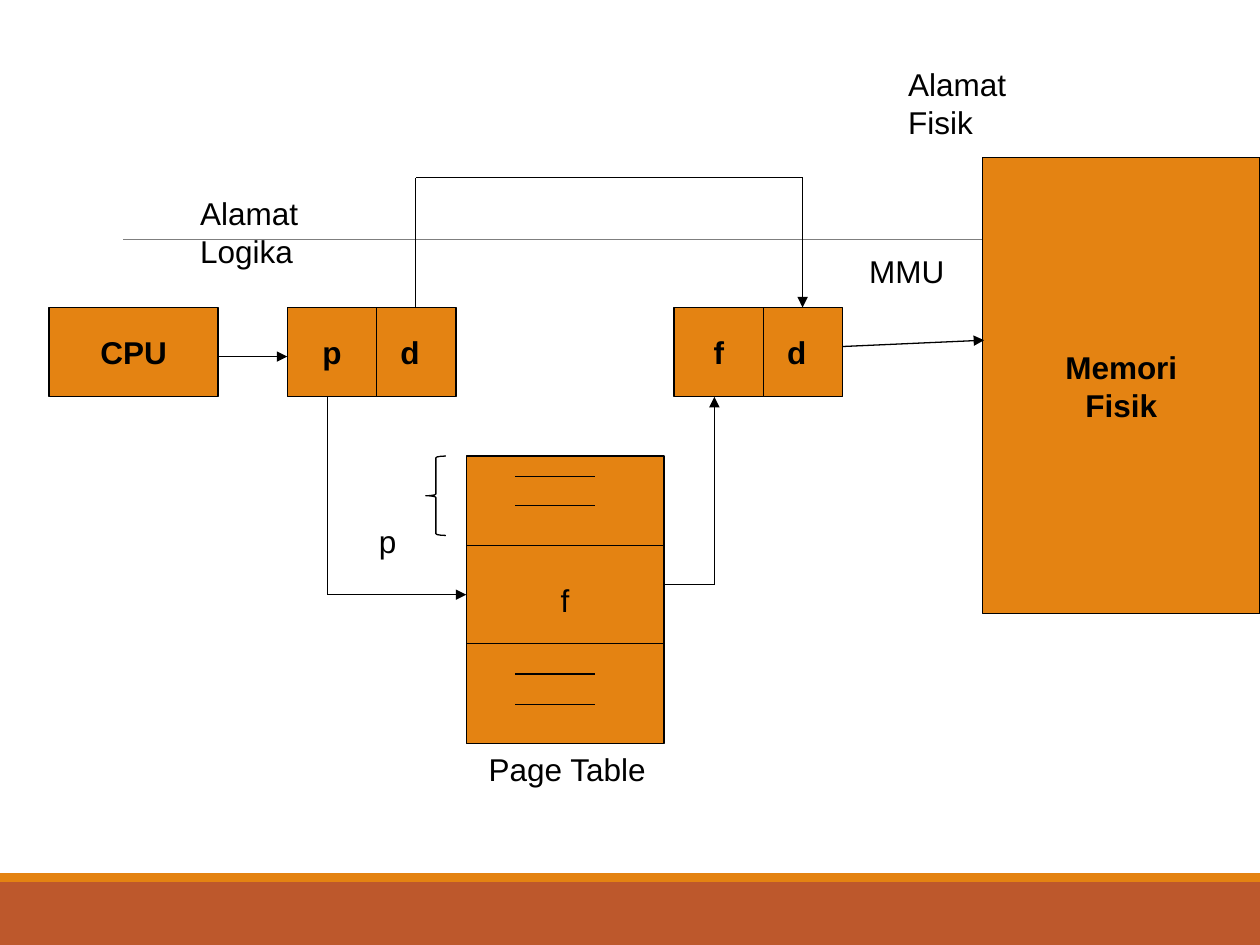
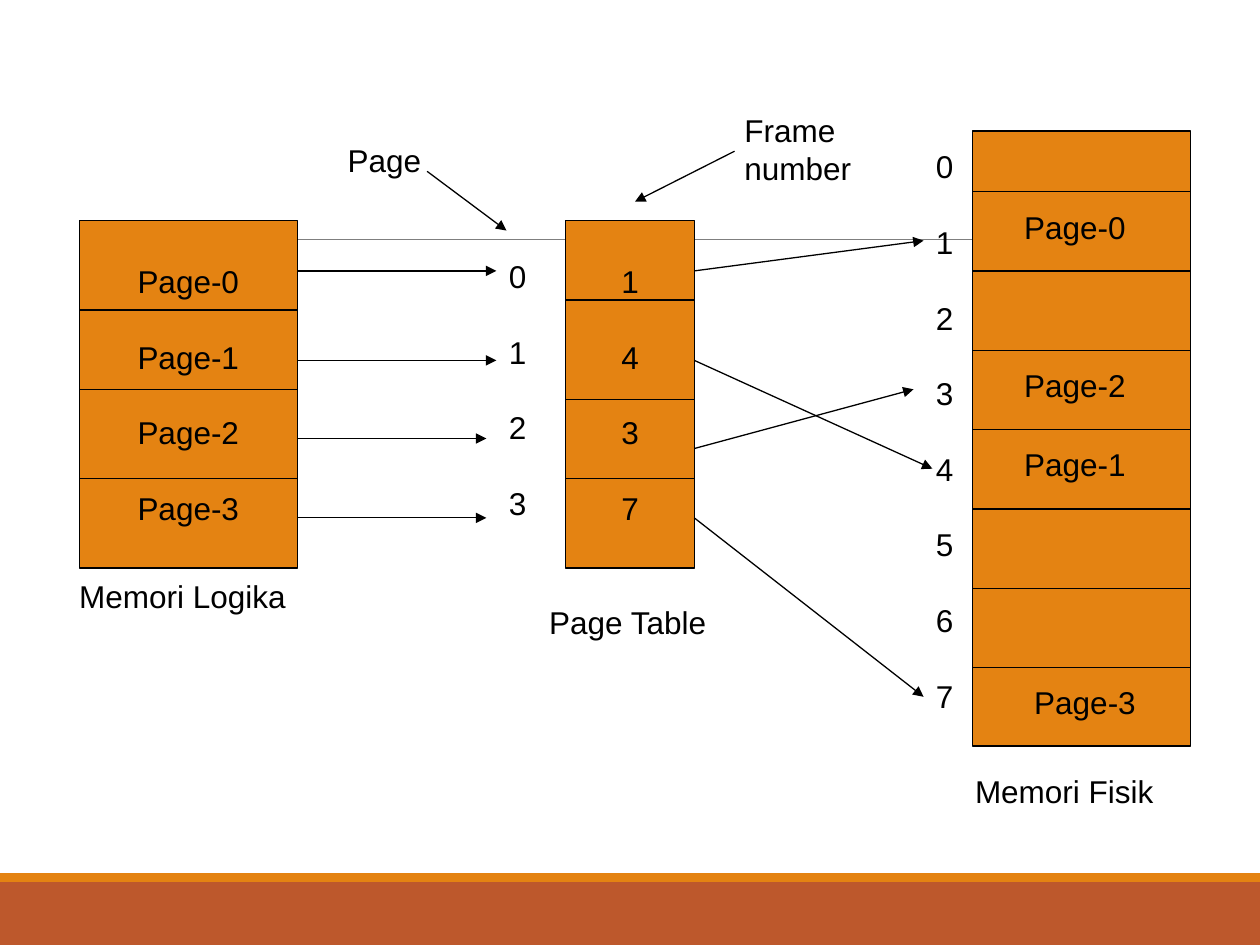
from lxml import etree
from pptx import Presentation
from pptx.dml.color import RGBColor
from pptx.enum import shapes, text
from pptx.oxml.ns import qn
from pptx.util import Inches, Pt

ORANGE, RUST, GREY, BLACK = "E48312", "BD582C", "7F7F7F", "000000"
colour = RGBColor.from_string
LINE_HEIGHT = 21.6
LIST_GAP = 21.6


def add_box(page, left, top, width, height, words="", fill=None, outline=BLACK,
            bold=False, gap=0, right_inset=0.1):
    """Add a filled, centred block, or a plain label when there is no fill."""
    area = [Inches(n) for n in (left, top, width, height)]
    if fill:
        box = page.shapes.add_shape(shapes.MSO_SHAPE.RECTANGLE, *area)
        box.shadow.inherit = False
        box.fill.solid()
        box.fill.fore_color.rgb = colour(fill)
        if outline:
            box.line.color.rgb = colour(outline)
            box.line.width = Pt(0.75)
        else:
            box.line.fill.background()
    else:
        box = page.shapes.add_textbox(*area)
    if words:
        frame = box.text_frame
        frame.word_wrap = bool(fill)
        frame.margin_right = Inches(right_inset)
        frame.vertical_anchor = text.MSO_ANCHOR.MIDDLE if fill else text.MSO_ANCHOR.TOP
        frame.text = words
        for para in frame.paragraphs:
            para.alignment = text.PP_ALIGN.CENTER if fill else text.PP_ALIGN.LEFT
            para.line_spacing = Pt(LINE_HEIGHT)
            para.font.name = "Arial"
            para.font.size = Pt(18)
            para.font.bold = bold
            para.font.color.rgb = colour(BLACK)
        for para in frame.paragraphs[:-1]:
            para.space_after = Pt(gap)


def add_line(page, x1, y1, x2, y2, arrow=False, stroke=BLACK):
    line = page.shapes.add_connector(
        shapes.MSO_CONNECTOR.STRAIGHT, *[Inches(n) for n in (x1, y1, x2, y2)])
    line.line.color.rgb = colour(stroke)
    line.line.width = Pt(0.75)
    if arrow:
        outline = line._element.spPr.find(qn("a:ln"))
        etree.SubElement(outline, qn("a:tailEnd"), type="triangle")
    etree.SubElement(line._element.spPr, qn("a:effectLst"))


deck = Presentation()
deck.slide_width, deck.slide_height = Inches(10), Inches(7.5)

# Shared bands and rule
translation, mapping = pages = [deck.slides.add_slide(deck.slide_layouts[6]) for _ in range(2)]
for page in pages:
    add_box(page, 0, 7, 10, 0.5, fill=RUST, outline=None)
    add_box(page, 0, 6.93, 10, 0.07, fill=ORANGE, outline=None)
    add_line(page, 0.98, 1.9, 9.15, 1.9, stroke=GREY)

# Address translation: processor, address registers and physical memory
add_box(translation, 0.39, 2.44, 1.34, 0.71, "CPU", ORANGE, bold=True)
for left, number in ((2.28, "p"), (5.35, "f")):
    add_box(translation, left, 2.44, 0.71, 0.71, number, ORANGE, bold=True)
    add_box(translation, left + 0.71, 2.44, 0.63, 0.71, "d", ORANGE, bold=True, right_inset=0.2)
add_box(translation, 7.8, 1.25, 2.2, 3.62, "Memori\nFisik", ORANGE, bold=True)

# Address translation: page table with its entries
add_box(translation, 3.7, 3.62, 1.57, 2.28, "f", ORANGE)
for y in (4.33, 5.11):
    add_line(translation, 3.7, y, 5.27, y)
for y in (3.78, 4.01, 5.35, 5.59):
    add_line(translation, 4.09, y, 4.72, y)
brace = translation.shapes.add_shape(
    shapes.MSO_SHAPE.LEFT_BRACE, Inches(3.38), Inches(3.62), Inches(0.16), Inches(0.63))
brace.shadow.inherit = False
brace.fill.background()
brace.line.color.rgb = colour(BLACK)
brace.line.width = Pt(0.75)

# Address translation: routes, each ending in an arrow
for route in (
    [(1.73, 2.83), (2.28, 2.83)],
    [(3.3, 2.44), (3.3, 1.41), (6.37, 1.41), (6.37, 2.44)],
    [(2.6, 3.15), (2.6, 4.72), (3.7, 4.72)],
    [(5.27, 4.64), (5.67, 4.64), (5.67, 3.15)],
    [(6.69, 2.75), (7.81, 2.7)],
):
    for start, end in zip(route, route[1:]):
        add_line(translation, *start, *end, arrow=end == route[-1])

# Address translation: labels
for left, top, width, height, words in (
    (1.49, 1.49, 1, 0.7, "Alamat\nLogika"),
    (7.11, 0.47, 1, 0.7, "Alamat\nFisik"),
    (3.78, 5.9, 1.65, 0.4, "Page Table"),
    (2.91, 4.09, 0.34, 0.4, "p"),
    (6.8, 1.95, 0.81, 0.4, "MMU"),
):
    add_box(translation, left, top, width, height, words)

# Page mapping: memories and page table, each with its dividers
frame_rows = [1.52 + 0.63 * row for row in range(7)]
for left, top, width, height, words, dividers in (
    (0.63, 1.75, 1.73, 2.76, "Page-0\nPage-1\nPage-2\nPage-3", (2.46, 3.09, 3.8)),
    (4.49, 1.75, 1.02, 2.76, "1\n4\n3\n7", (2.38, 3.17, 3.8)),
    (7.72, 1.04, 1.73, 4.88, "", frame_rows),
):
    add_box(mapping, left, top, width, height, words, ORANGE, gap=LIST_GAP)
    for y in dividers:
        add_line(mapping, left, y, left + width, y)

# Page mapping: pages in physical memory
for left, top, words in ((8.03, 1.6, "Page-0"), (8.03, 2.86, "Page-2"),
                         (8.03, 3.48, "Page-1"), (8.11, 5.37, "Page-3")):
    add_box(mapping, left, top, 1.01, 0.4, words)

# Page mapping: page and frame numbers
for left, top, height, count in ((3.94, 1.99, 2.2, 4), (7.33, 1.12, 4.61, 8)):
    add_box(mapping, left, top, 0.34, height, "\n".join(map(str, range(count))), gap=LIST_GAP)

# Page mapping: labels
for left, top, width, height, words in (
    (0.53, 4.53, 1.86, 0.4, "Memori Logika"),
    (7.64, 6.08, 1.64, 0.4, "Memori Fisik"),
    (4.26, 4.74, 1.48, 0.4, "Page Table"),
    (2.66, 1.07, 0.82, 0.4, "Page"),
    (5.81, 0.83, 1.07, 0.7, "Frame\nnumber"),
):
    add_box(mapping, left, top, width, height, words)

# Page mapping: arrows from labels, from pages to entries, from entries to frames
add_line(mapping, 3.39, 1.36, 4.02, 1.83, arrow=True)
add_line(mapping, 5.83, 1.2, 5.04, 1.6, arrow=True)
for y, end in ((2.15, 3.94), (2.86, 3.94), (3.48, 3.86), (4.11, 3.86)):
    add_line(mapping, 2.36, y, end, y, arrow=True)
for y, end_x, end_y in ((2.15, 7.33, 1.91), (2.86, 7.4, 3.72),
                        (3.56, 7.25, 3.09), (4.11, 7.33, 5.53)):
    add_line(mapping, 5.51, y, end_x, end_y, arrow=True)

deck.save("out.pptx")
